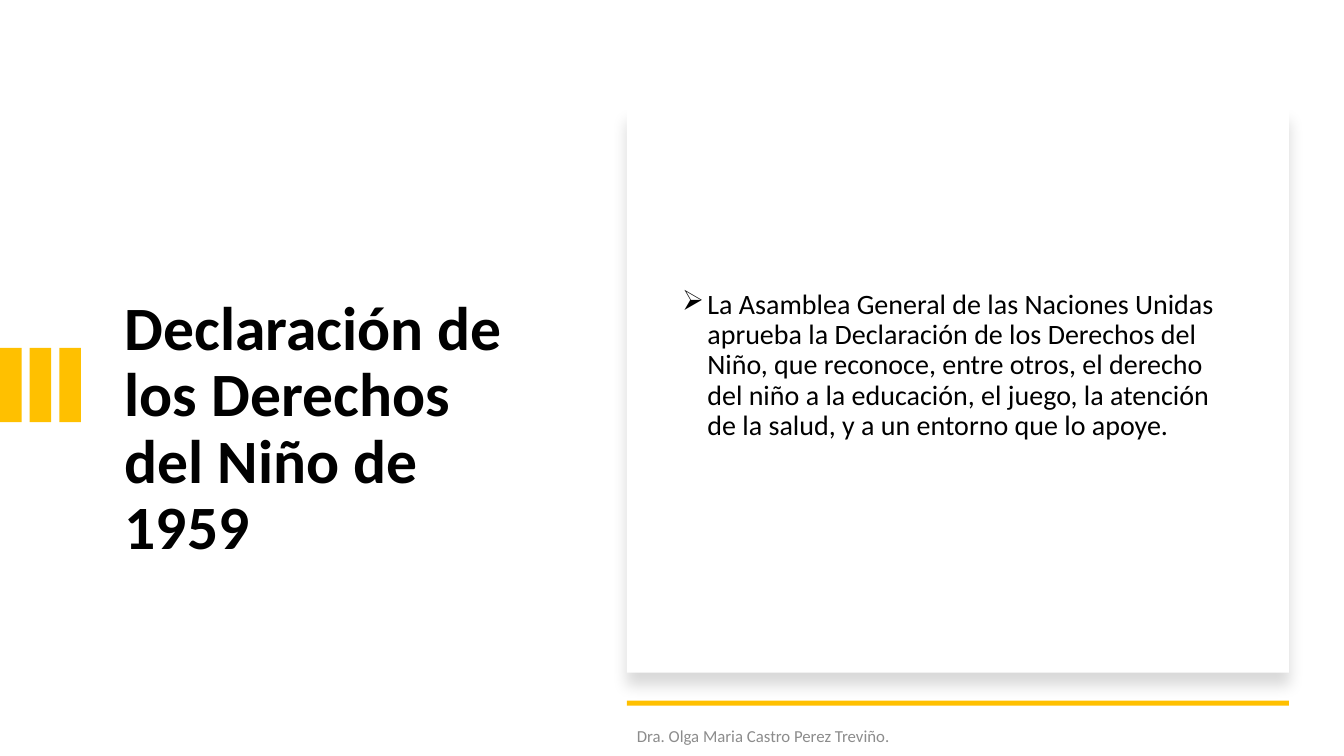
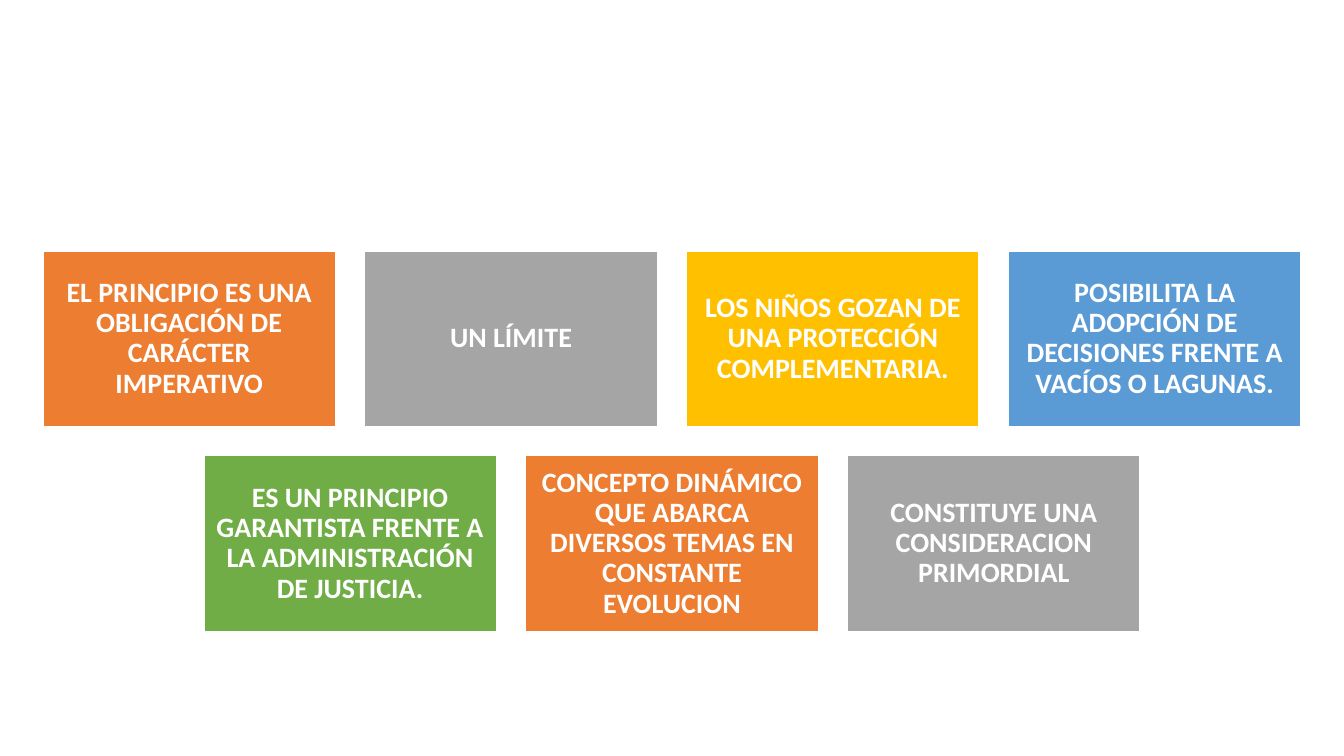
from lxml import etree
from pptx import Presentation
from pptx.dml.color import RGBColor
from pptx.enum import shapes, text
from pptx.oxml import ns
from pptx.util import Pt

# Content
TITLE = "Declaración de los Derechos del Niño de 1959"
BODY = ("La Asamblea General de las Naciones Unidas aprueba la Declaración de los "
        "Derechos del Niño, que reconoce, entre otros, el derecho del niño a la "
        "educación, el juego, la atención de la salud, y a un entorno que lo apoye.")
FOOTER = "Dra. Olga Maria Castro Perez Treviño."
CARD_ROWS = [
    [("EL PRINCIPIO ES UNA OBLIGACIÓN DE CARÁCTER IMPERATIVO", "orange"),
     ("UN LÍMITE", "gray"),
     ("LOS NIÑOS GOZAN DE UNA PROTECCIÓN COMPLEMENTARIA.", "gold"),
     ("POSIBILITA LA ADOPCIÓN DE DECISIONES FRENTE A VACÍOS O LAGUNAS.", "blue")],
    [("ES UN PRINCIPIO GARANTISTA FRENTE A LA ADMINISTRACIÓN DE JUSTICIA.", "green"),
     ("CONCEPTO DINÁMICO QUE ABARCA DIVERSOS TEMAS EN CONSTANTE EVOLUCION", "orange"),
     ("CONSTITUYE UNA CONSIDERACION PRIMORDIAL", "gray")],
]


# Theme
class Theme:
    font = "Calibri"
    title, body, footer = 44, 20, 12
    colors = dict(black="000000", white="FFFFFF", muted="8C8C8C", gold="FFC000",
                  orange="ED7D31", gray="A5A5A5", blue="5B9BD5", green="70AD47")

    @classmethod
    def rgb(cls, name):
        return RGBColor.from_string(cls.colors[name])


WIDTH, HEIGHT = 960, 540


def add_rect(s, x, y, w, h, fill, line=None):
    sp = s.shapes.add_shape(shapes.MSO_SHAPE.RECTANGLE, Pt(x), Pt(y), Pt(w), Pt(h))
    sp.shadow.inherit = False
    sp.fill.solid()
    sp.fill.fore_color.rgb = Theme.rgb(fill)
    if line:
        sp.line.color.rgb = Theme.rgb(line)
        sp.line.width = Pt(1)
    else:
        sp.line.fill.background()
    return sp


def write(sp, words, size, color, bold=False, align=text.PP_ALIGN.LEFT,
          spacing=0.9, insets=(7.2, 3.6, 7.2, 3.6)):
    tf = sp.text_frame
    tf.word_wrap = True
    tf.vertical_anchor = text.MSO_ANCHOR.MIDDLE
    tf.margin_left, tf.margin_top, tf.margin_right, tf.margin_bottom = map(Pt, insets)
    p = tf.paragraphs[0]
    p.alignment, p.line_spacing = align, spacing
    r = p.add_run()
    r.text = words
    r.font.name, r.font.size, r.font.bold = Theme.font, Pt(size), bold
    r.font.color.rgb = Theme.rgb(color)
    return p


def add_text(s, x, y, w, h, *args, **kwargs):
    return write(s.shapes.add_textbox(Pt(x), Pt(y), Pt(w), Pt(h)), *args, **kwargs)


def add_bullet(p, char, indent):
    pPr = p._p.get_or_add_pPr()
    pPr.set("marL", str(Pt(indent)))
    pPr.set("indent", str(-Pt(indent)))
    etree.SubElement(pPr, ns.qn("a:buChar")).set("char", char)


def add_soft_shadow(sp, blur, dist, alpha):
    effects = sp._element.spPr.find(ns.qn("a:effectLst"))
    shadow = etree.SubElement(effects, ns.qn("a:outerShdw"), blurRad=str(Pt(blur)),
                              dist=str(Pt(dist)), dir="5400000", algn="t", rotWithShape="0")
    color = etree.SubElement(shadow, ns.qn("a:srgbClr"), val=Theme.colors["black"])
    etree.SubElement(color, ns.qn("a:alpha"), val=str(alpha * 1000))


def build_declaration(s):
    # Title with accent bars
    add_text(s, 82, 108, 307, 339, TITLE, Theme.title, "black", bold=True,
             insets=(7.2, 63, 7.2, 3.6))
    for i in range(3):
        add_rect(s, i * 21.2, 248.4, 15.4, 53.2, "gold")

    # Panel with bulleted text
    panel_x, panel_w = 447.8, 473
    add_soft_shadow(add_rect(s, panel_x, 77, panel_w, 403.4, "white"), 11, 10, 15)
    p = add_text(s, 480.2, 108, 411, 339, BODY, Theme.body, "black",
                 insets=(7.2, 3.6, 7.2, 36))
    p.space_before = Pt(10)
    add_bullet(p, "➢", 18)

    # Rule and footer
    add_rect(s, panel_x, 500.4, panel_w, 3.6, "gold")
    p = add_text(s, panel_x, 511.2, 350, 28.8, FOOTER, Theme.footer, "muted", spacing=1.0)
    p.space_after = Pt(6)


def build_cards(s):
    # Rows of cards, each row centred on the slide
    w, h, gap, top = 209, 125.4, 20.9, 179.3
    for row, cards in enumerate(CARD_ROWS):
        left = (WIDTH - len(cards) * w - (len(cards) - 1) * gap) / 2
        for col, (words, fill) in enumerate(cards):
            sp = add_rect(s, left + col * (w + gap), top + row * (h + gap), w, h,
                          fill, line="white")
            write(sp, words, Theme.body, "white", bold=True,
                  align=text.PP_ALIGN.CENTER, insets=(6, 6, 6, 6))


def main():
    prs = Presentation()
    prs.slide_width, prs.slide_height = Pt(WIDTH), Pt(HEIGHT)
    for build in (build_declaration, build_cards):
        build(prs.slides.add_slide(prs.slide_layouts[6]))
    prs.save("out.pptx")


if __name__ == "__main__":
    main()
